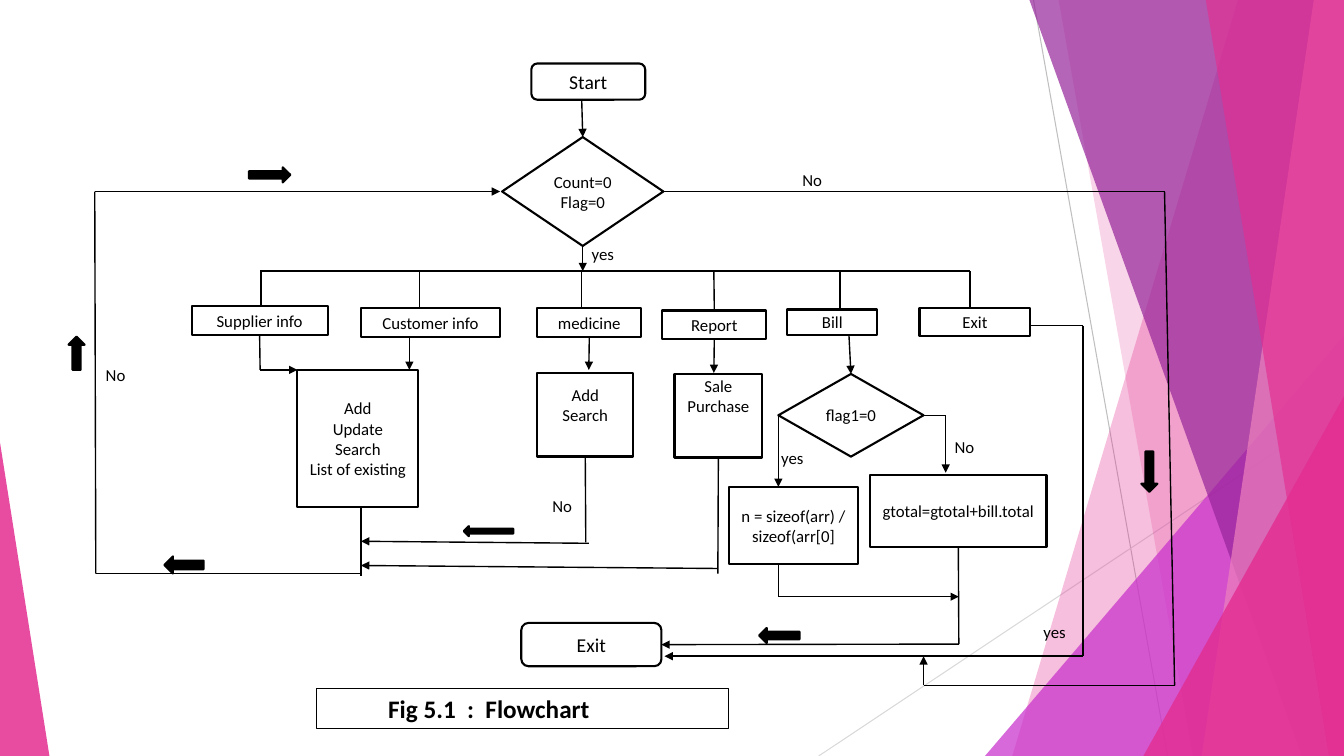
"""Builds a one-slide flowchart of a pharmacy billing program on a faceted background."""
from dataclasses import dataclass

from lxml.etree import SubElement
from pptx import Presentation
from pptx.dml.color import RGBColor
from pptx.enum.shapes import MSO_CONNECTOR, MSO_SHAPE
from pptx.enum.text import MSO_ANCHOR, PP_ALIGN
from pptx.oxml.ns import qn
from pptx.util import Inches, Pt


@dataclass(frozen=True)
class Theme:
    font: str = "Calibri"
    ink: RGBColor = RGBColor(0, 0, 0)
    paper: RGBColor = RGBColor(255, 255, 255)
    pink: RGBColor = RGBColor.from_string("E32D91")
    light_pink: RGBColor = RGBColor.from_string("EE81BD")
    orchid: RGBColor = RGBColor.from_string("C830CC")
    purple: RGBColor = RGBColor.from_string("962499")
    gray: RGBColor = RGBColor.from_string("BFBFBF")
    light_gray: RGBColor = RGBColor.from_string("D9D9D9")
    body: int = 12
    terminal: int = 14
    caption: int = 18
    hairline: float = 0.75
    route: float = 1
    outline: float = 1.5


theme = Theme()
COLUMNS, ROWS = 13.33, 7.5
TOP, LEFT, BOTTOM, RIGHT = range(4)

presentation = Presentation()
presentation.slide_width = Inches(COLUMNS)
presentation.slide_height = Inches(ROWS)
slide = presentation.slides.add_slide(presentation.slide_layouts[6])
column = presentation.slide_width / COLUMNS
row = presentation.slide_height / ROWS
nodes = {}


def write(shape, lines, size, alignment, bold=False):
    """Put each line in its own paragraph."""
    frame = shape.text_frame
    frame.word_wrap = True
    for index, line in enumerate(lines):
        paragraph = frame.add_paragraph() if index else frame.paragraphs[0]
        paragraph.alignment = alignment
        run = paragraph.add_run()
        run.text = line
        run.font.name = theme.font
        run.font.size = Pt(size)
        run.font.bold = bold
        run.font.color.rgb = theme.ink


def connect(start, end, arrow=False, color=theme.ink, width=theme.route):
    """Draw a line between grid points or (node name, side) pairs."""
    joined = [isinstance(stop[0], str) for stop in (start, end)]
    points = [(0, 0) if join else stop for join, stop in zip(joined, (start, end))]
    (x1, y1), (x2, y2) = [(int(x * column), int(y * row)) for x, y in points]
    connector = slide.shapes.add_connector(MSO_CONNECTOR.STRAIGHT, x1, y1, x2, y2)
    if joined[0]:
        connector.begin_connect(nodes[start[0]], start[1])
    if joined[1]:
        connector.end_connect(nodes[end[0]], end[1])
    connector.line.color.rgb = color
    connector.line.width = Pt(width)
    properties = connector.element.spPr
    if arrow:
        SubElement(properties.find(qn("a:ln")), qn("a:tailEnd"), type="triangle")
    SubElement(properties, qn("a:effectLst"))


connect((10.25, 0), (11.58, ROWS), color=theme.gray, width=theme.hairline)
connect((COLUMNS, 4.03), (8.12, ROWS), color=theme.light_gray, width=theme.hairline)

# Bands give (top x, bottom x); triangles give (left, top, width, apex).
facets = [
    ((12.28, 10.04), theme.pink, 30),
    ((10.5, 11.83), theme.pink, 20),
    ((9.77, 3.33, 3.56, 1), theme.orchid, 72),
    ((10.21, 12.91), theme.purple, 70),
    ((13.03, 11.92), theme.light_pink, 70),
    ((11.96, 13.18), theme.pink, 65),
    ((11.34, 3.93, 1.99, 1), theme.pink, 80),
    ((0, 4.39, 0.49, 0), theme.pink, 85),
]
for outline, color, opacity in facets:
    if len(outline) == 2:
        top_x, bottom_x = outline
        builder = slide.shapes.build_freeform(int(top_x * column), 0)
        corners = [(COLUMNS, 0), (COLUMNS, ROWS), (bottom_x, ROWS)]
        builder.add_line_segments([(int(x * column), int(y * row)) for x, y in corners])
        facet = builder.convert_to_shape()
    else:
        left, top, width, apex = outline
        facet = slide.shapes.add_shape(
            MSO_SHAPE.ISOSCELES_TRIANGLE, int(left * column), int(top * row),
            int(width * column), int((ROWS - top) * row))
        facet.adjustments[0] = apex
    facet.shadow.inherit = False
    facet.fill.solid()
    facet.fill.fore_color.rgb = color
    facet.line.fill.background()
    tint = facet.element.spPr.find(".//" + qn("a:srgbClr"))
    SubElement(tint, qn("a:alpha"), val=str(opacity * 1000))

box, diamond, terminal = MSO_SHAPE.RECTANGLE, MSO_SHAPE.DIAMOND, MSO_SHAPE.ROUNDED_RECTANGLE
steps = [
    ("start", terminal, 5.27, 0.63, 1.13, 0.36, ["Start"]),
    ("count", diamond, 4.98, 1.36, 1.6, 1.08, ["Count=0", "Flag=0"]),
    ("supplier", box, 1.9, 3.04, 1.35, 0.28, ["Supplier info"]),
    ("customer", box, 3.58, 3.06, 1.38, 0.28, ["Customer info"]),
    ("medicine", box, 5.33, 3.06, 1.03, 0.28, ["medicine"]),
    ("report", box, 6.57, 3.08, 1.03, 0.28, ["Report"]),
    ("bill", box, 7.81, 3.07, 0.89, 0.25, ["Bill"]),
    ("exit option", box, 9.12, 3.06, 1.1, 0.27, ["Exit"]),
    ("records", box, 2.95, 3.67, 1.2, 1.36, ["Add", "Update", "Search", "List of existing"]),
    ("stock", box, 5.33, 3.7, 0.95, 0.83, ["Add", "Search"]),
    ("trade", box, 6.69, 3.71, 0.87, 0.83, ["Sale", "Purchase"]),
    ("flag", diamond, 7.72, 3.71, 1.44, 0.82, ["flag1=0"]),
    ("size", box, 7.23, 4.83, 1.28, 0.77, ["n = sizeof(arr) / sizeof(arr[0]"]),
    ("total", box, 8.63, 4.71, 1.75, 0.72, ["gtotal=gtotal+bill.total"]),
    ("exit", terminal, 5.17, 6.18, 1.39, 0.43, ["Exit"]),
    ("return to loop", MSO_SHAPE.LEFT_ARROW, 1.63, 5.52, 0.39, 0.17, []),
    ("loop up", MSO_SHAPE.UP_ARROW, 0.68, 3.34, 0.16, 0.33, []),
    ("loop again", MSO_SHAPE.RIGHT_ARROW, 2.47, 1.66, 0.41, 0.15, []),
    ("merge", MSO_SHAPE.LEFT_ARROW, 4.6, 5.22, 0.49, 0.1, []),
    ("leave", MSO_SHAPE.DOWN_ARROW, 11.32, 4.48, 0.16, 0.4, []),
    ("finish", MSO_SHAPE.LEFT_ARROW, 7.53, 6.23, 0.4, 0.15, []),
]
for name, kind, left, top, width, height, lines in steps:
    node = nodes[name] = slide.shapes.add_shape(
        kind, int(left * column), int(top * row), int(width * column), int(height * row))
    node.shadow.inherit = False
    node.fill.solid()
    node.fill.fore_color.rgb = theme.paper if lines else theme.ink
    node.line.color.rgb = theme.ink
    node.line.width = Pt(theme.outline)
    if lines:
        node.text_frame.vertical_anchor = MSO_ANCHOR.MIDDLE
        write(node, lines, theme.terminal if kind == terminal else theme.body, PP_ALIGN.CENTER)
nodes["stock"].text_frame.margin_bottom = int(0.25 * row)
nodes["trade"].text_frame.margin_bottom = int(0.45 * row)

bus = 2.69
connect((2.58, bus), (9.62, bus))
for x, end in [(2.59, 3.04), (4.16, 3.06), (5.77, 3.06), (8.33, 3.07), (9.62, 3.06)]:
    connect((x, bus), (x, end))
connect((7.08, bus), ("report", TOP))

# Each route is a chain of stops whose last leg carries the arrowhead when True.
routes = [
    ([(5.77, 1), ("count", TOP)], True),
    ([("count", BOTTOM), (5.78, bus)], True),
    ([("supplier", BOTTOM), (2.58, 3.67), (2.95, 3.67)], True),
    ([(4.06, 3.34), (4.06, 3.67)], True),
    ([("medicine", BOTTOM), (5.84, 3.67)], True),
    ([("report", BOTTOM), (7.08, 3.7)], True),
    ([(8.42, 3.32), ("flag", TOP)], True),
    ([(3.58, 5.04), (3.58, 5.71)], False),
    ([(3.58, 5.69), (0.95, 5.69), (0.94, 1.9), (4.96, 1.9)], True),
    ([("stock", BOTTOM), (5.81, 5.38)], False),
    ([(5.84, 5.39), (3.58, 5.37)], True),
    ([("trade", BOTTOM), (7.12, 5.69)], False),
    ([(7.12, 5.64), (3.58, 5.61)], True),
    ([("flag", LEFT), (7.72, 4.83)], True),
    ([("flag", RIGHT), (9.38, 4.12), (9.38, 4.69)], True),
    ([("total", BOTTOM), (9.51, 6.39), ("exit", RIGHT)], True),
    ([(7.72, 5.61), (7.72, 5.92), (9.51, 5.92)], True),
    ([(10.22, 3.23), (10.74, 3.23), (10.74, 6.51), (6.59, 6.51)], True),
    ([("count", RIGHT), (11.55, 1.9), (11.65, 6.8), (9.16, 6.8), (9.16, 6.51)], True),
]
for stops, arrow in routes:
    for leg, (start, end) in enumerate(zip(stops, stops[1:]), 2):
        connect(start, end, arrow and leg == len(stops))

answers = [
    ("No", 0.95, 3.57, 0.51), ("No", 5.38, 4.87, 0.47), ("yes", 7.65, 4.39, 0.64),
    ("No", 9.37, 4.28, 0.63), ("yes", 5.77, 2.37, 0.98), ("yes", 10.25, 6.12, 0.52),
    ("No", 7.86, 1.63, 0.76),
]
for answer, left, top, width in answers:
    label = slide.shapes.add_textbox(
        int(left * column), int(top * row), int(width * column), int(0.3 * row))
    write(label, [answer], theme.body, PP_ALIGN.LEFT)

caption = slide.shapes.add_textbox(
    int(3.14 * column), int(6.83 * row), int(4.09 * column), int(0.4 * row))
caption.line.color.rgb = theme.ink
caption.line.width = Pt(theme.hairline)
caption.text_frame.margin_left = int(0.71 * column)
write(caption, ["Fig 5.1  :  Flowchart"], theme.caption, PP_ALIGN.LEFT, bold=True)

presentation.save("out.pptx")
